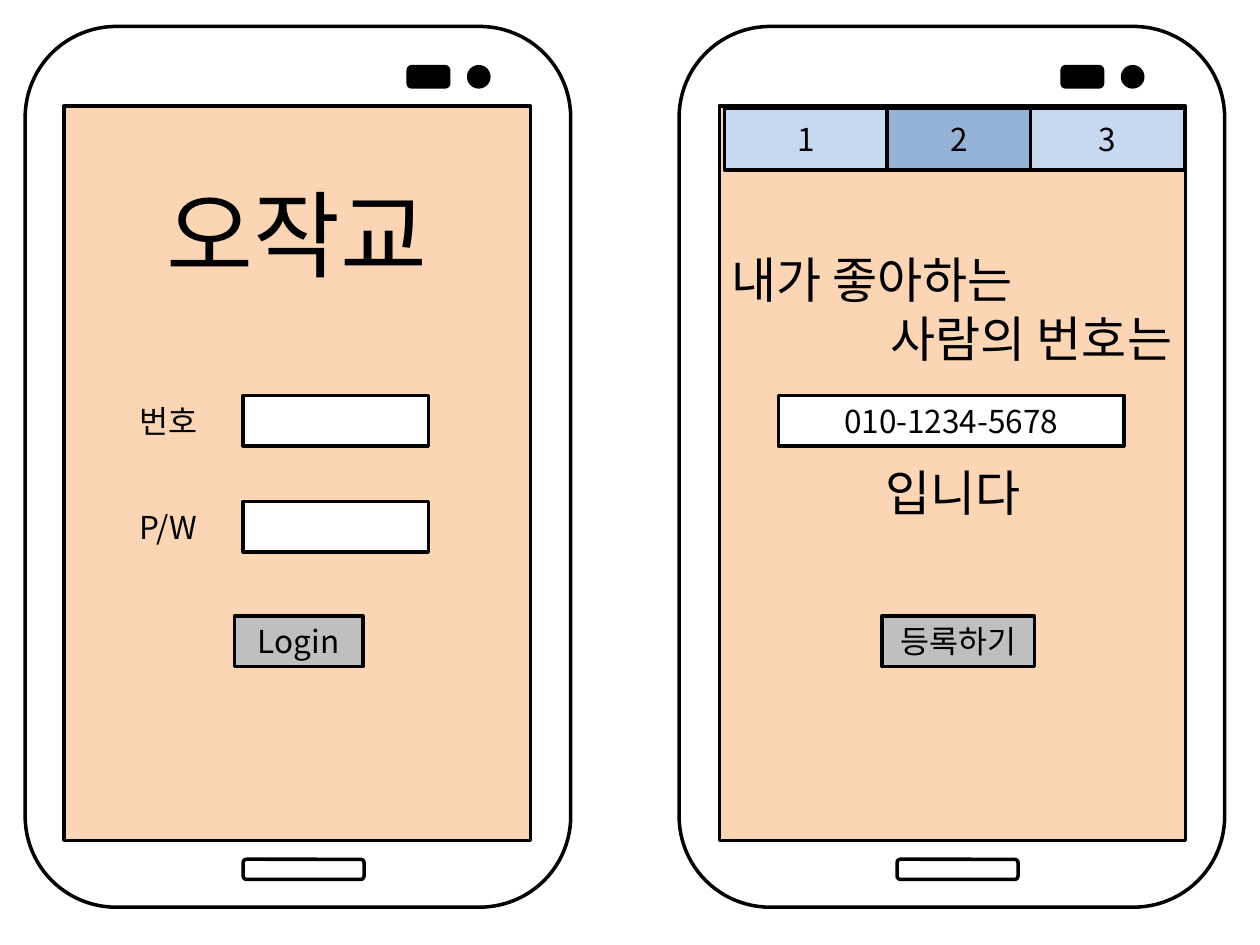
import lxml.etree
import pptx
import pptx.dml.color
import pptx.enum.shapes
import pptx.enum.text
import pptx.oxml.ns
import pptx.util

Inches = pptx.util.Inches
SHAPE = pptx.enum.shapes.MSO_SHAPE
ALIGN = pptx.enum.text.PP_ALIGN
ANCHOR = pptx.enum.text.MSO_ANCHOR
FIT = pptx.enum.text.MSO_AUTO_SIZE.SHAPE_TO_FIT_TEXT
FONT = "Noto Sans CJK KR"
COLORS = {
    "black": "000000",
    "white": "FFFFFF",
    "screen": "FCD5B5",
    "button": "BFBFBF",
    "tab": "C6D9F1",
    "active_tab": "95B3D7",
}


def rgb(name):
    return pptx.dml.color.RGBColor.from_string(COLORS[name])


def write(tf, lines, size):
    """Fill a text frame with (text, alignment) lines in one style."""
    for i, (text, align) in enumerate(lines):
        p = tf.paragraphs[0] if i == 0 else tf.add_paragraph()
        p.text = text
        p.alignment = align
        p.font.size = pptx.util.Pt(size)
        p.font.name = FONT
        p.font.color.rgb = rgb("black")
        # East Asian typeface for the Korean text
        qn = pptx.oxml.ns.qn
        props = p._p.pPr.find(qn("a:defRPr"))
        lxml.etree.SubElement(props, qn("a:ea"), typeface=FONT)


def add_box(shapes, kind, x, y, w, h, fill, text=None):
    sp = shapes.add_shape(kind, Inches(x), Inches(y), Inches(w), Inches(h))
    sp.shadow.inherit = False
    sp.fill.solid()
    sp.fill.fore_color.rgb = rgb(fill)
    sp.line.color.rgb = rgb("black")
    sp.line.width = pptx.util.Pt(2)
    if text:
        tf = sp.text_frame
        tf.vertical_anchor = ANCHOR.MIDDLE
        write(tf, [(text, ALIGN.CENTER)], 18)
    return sp


def add_text(shapes, x, y, w, h, lines, size):
    sp = shapes.add_textbox(Inches(x), Inches(y), Inches(w), Inches(h))
    tf = sp.text_frame
    tf.word_wrap = True
    tf.auto_size = FIT
    write(tf, lines, size)


def add_phone(slide, x):
    """Phone body, home button, camera and speaker as one group."""
    shapes = slide.shapes.add_group_shape().shapes
    add_box(shapes, SHAPE.ROUNDED_RECTANGLE, x, 0.21, 4.33, 6.99, "white")
    add_box(shapes, SHAPE.ROUNDED_RECTANGLE, x + 1.73, 6.82, 0.96, 0.16, "white")
    add_box(shapes, SHAPE.OVAL, x + 3.52, 0.53, 0.16, 0.16, "black")
    add_box(shapes, SHAPE.ROUNDED_RECTANGLE, x + 3.04, 0.53, 0.32, 0.16, "black")


def add_screen(shapes, x):
    add_box(shapes, SHAPE.RECTANGLE, x, 0.84, 3.7, 5.83, "screen")


def place_title(slide, text):
    title = slide.shapes.title
    title.left, title.top = Inches(1.1), Inches(1.35)
    title.width, title.height = Inches(2.52), Inches(1.01)
    tf = title.text_frame
    tf.word_wrap = True
    tf.auto_size = FIT
    tf.vertical_anchor = ANCHOR.TOP
    write(tf, [(text, ALIGN.CENTER)], 54)
    # Bring the title in front of the phone screen
    title._element.getparent().append(title._element)


def add_login(slide):
    shapes = slide.shapes
    add_screen(shapes, 0.51)
    place_title(slide, "오작교")
    for label, y in (("번호", 3.14), ("P/W", 3.98)):
        add_text(shapes, 1.01, y, 0.94, 0.4, [(label, ALIGN.LEFT)], 18)
        add_box(shapes, SHAPE.RECTANGLE, 1.93, y, 1.47, 0.4, "white")
    add_box(shapes, SHAPE.RECTANGLE, 1.86, 4.89, 1.02, 0.4, "button", "Login")


def add_registration(slide):
    # Screen with its tab bar
    tabbed = slide.shapes.add_group_shape().shapes
    add_screen(tabbed, 5.71)
    x = 5.75
    for text, w, fill in (("1", 1.29, "tab"), ("2", 1.14, "active_tab"), ("3", 1.22, "tab")):
        add_box(tabbed, SHAPE.RECTANGLE, x, 0.86, w, 0.49, fill, text)
        x += w

    # Sentence around the number field
    shapes = slide.shapes
    question = [("내가 좋아하는", ALIGN.LEFT), ("사람의 번호는", ALIGN.RIGHT)]
    add_text(shapes, 5.71, 1.93, 3.69, 1.04, question, 28)
    add_box(shapes, SHAPE.RECTANGLE, 6.18, 3.14, 2.74, 0.4, "white", "010-1234-5678")
    add_text(shapes, 5.72, 3.62, 3.69, 0.57, [("입니다", ALIGN.CENTER)], 28)
    add_box(shapes, SHAPE.RECTANGLE, 7, 4.89, 1.21, 0.4, "button", "등록하기")


def main():
    prs = pptx.Presentation()
    prs.slide_width, prs.slide_height = Inches(10), Inches(7.5)
    slide = prs.slides.add_slide(prs.slide_layouts.get_by_name("Title Only"))
    for x in (5.39, 0.2):
        add_phone(slide, x)
    add_login(slide)
    add_registration(slide)
    prs.save("out.pptx")


main()
